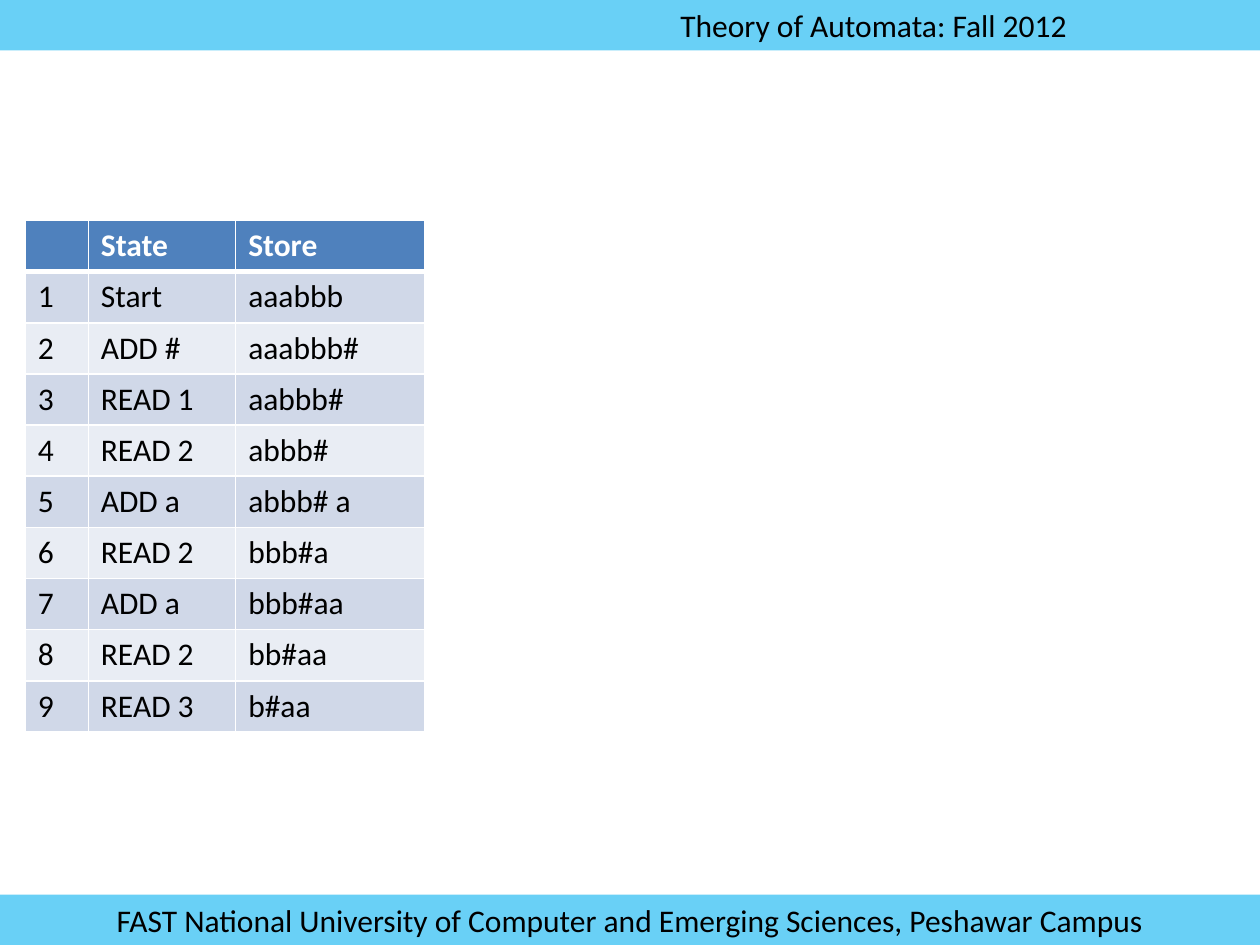
from lxml import etree
from pptx import Presentation
from pptx.dml.color import RGBColor
from pptx.enum.shapes import MSO_SHAPE
from pptx.enum.text import MSO_ANCHOR, PP_ALIGN
from pptx.oxml.ns import qn
from pptx.util import Inches, Pt

RECTANGLE = MSO_SHAPE.RECTANGLE
MIDDLE = MSO_ANCHOR.MIDDLE
LEFT, CENTER = PP_ALIGN.LEFT, PP_ALIGN.CENTER

WIDTH, HEIGHT = Inches(10), Inches(7.5)
BAND_HEIGHT = Inches(0.4)
COLORS = {
    "band": "00B0F0",
    "header": "4F81BD",
    "odd": "D0D8E8",
    "even": "E9EDF4",
    "white": "FFFFFF",
    "black": "000000",
}
COLUMN_SHARES = (0.158, 0.369, 0.473)
STEPS = [
    ("Start", "aaabbb"),
    ("ADD #", "aaabbb#"),
    ("READ 1", "aabbb#"),
    ("READ 2", "abbb#"),
    ("ADD a", "abbb# a"),
    ("READ 2", "bbb#a"),
    ("ADD a", "bbb#aa"),
    ("READ 2", "bb#aa"),
    ("READ 3", "b#aa"),
]


def color(name):
    return RGBColor.from_string(COLORS[name])


def write_text(frame, text, size=18, fill="black", bold=False, align=LEFT):
    paragraph = frame.paragraphs[0]
    paragraph.alignment = align
    paragraph.font.size = Pt(size)
    if text:
        run = paragraph.add_run()
        run.text = text
        run.font.name = "Calibri"
        run.font.size = Pt(size)
        run.font.bold = bold
        run.font.color.rgb = color(fill)


def add_band(slide, box, text, align=LEFT, indent=0.01):
    left, top, width, height = box
    band = slide.shapes.add_shape(RECTANGLE, left, top, width, height)
    band.shadow.inherit = False
    band.line.fill.background()
    band.fill.solid()
    band.fill.fore_color.rgb = color("band")
    fill_color = band.fill._xPr.find(qn("a:solidFill"))[0]
    etree.SubElement(fill_color, qn("a:alpha"), val="59000")
    frame = band.text_frame
    frame.word_wrap = True
    frame.vertical_anchor = MIDDLE
    frame.margin_left = int(width * indent)
    write_text(frame, text, align=align)


def set_borders(cell, top=1, bottom=1):
    properties = cell._tc.get_or_add_tcPr()
    widths = {"lnL": 1, "lnR": 1, "lnT": top, "lnB": bottom}
    for position, (side, points) in enumerate(widths.items()):
        line = etree.Element(qn(f"a:{side}"), w=str(Pt(points)))
        fill = etree.SubElement(line, qn("a:solidFill"))
        etree.SubElement(fill, qn("a:srgbClr"), val=COLORS["white"])
        properties.insert(position, line)


def add_trace_table(slide, box, steps):
    left, top, width, height = box
    rows = [("", "State", "Store")]
    rows += [(str(number), *step) for number, step in enumerate(steps, 1)]
    table = slide.shapes.add_table(
        len(rows), len(COLUMN_SHARES), left, top, width, height
    ).table
    for column, share in zip(table.columns, COLUMN_SHARES):
        column.width = int(width * share)
    for row_index, row in enumerate(rows):
        is_header = row_index == 0
        fill = "header" if is_header else "odd" if row_index % 2 else "even"
        for column_index, text in enumerate(row):
            cell = table.cell(row_index, column_index)
            cell.fill.solid()
            cell.fill.fore_color.rgb = color(fill)
            set_borders(
                cell,
                top=3 if row_index == 1 else 1,
                bottom=3 if is_header else 1,
            )
            write_text(
                cell.text_frame,
                text,
                fill="white" if is_header else "black",
                bold=is_header,
            )


def main():
    presentation = Presentation()
    presentation.slide_width, presentation.slide_height = WIDTH, HEIGHT
    slide = presentation.slides.add_slide(presentation.slide_layouts[6])
    add_band(
        slide,
        (0, 0, WIDTH, BAND_HEIGHT),
        "Theory of Automata: Fall 2012",
        indent=0.54,
    )
    add_band(
        slide,
        (0, HEIGHT - BAND_HEIGHT, WIDTH, BAND_HEIGHT),
        "FAST National University of Computer and Emerging Sciences, Peshawar Campus",
        align=CENTER,
    )
    add_trace_table(
        slide, (Inches(0.2), Inches(1.75), Inches(3.17), Inches(4.06)), STEPS
    )
    presentation.save("out.pptx")


if __name__ == "__main__":
    main()
